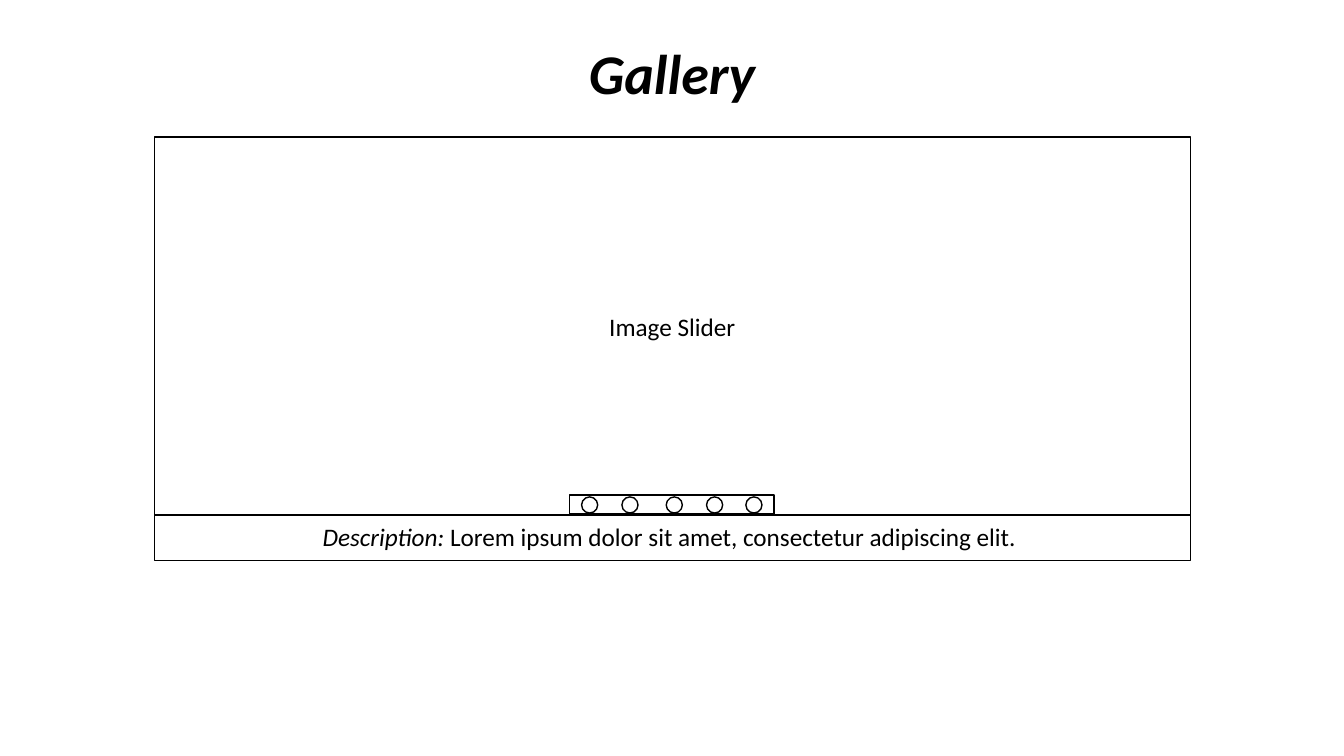
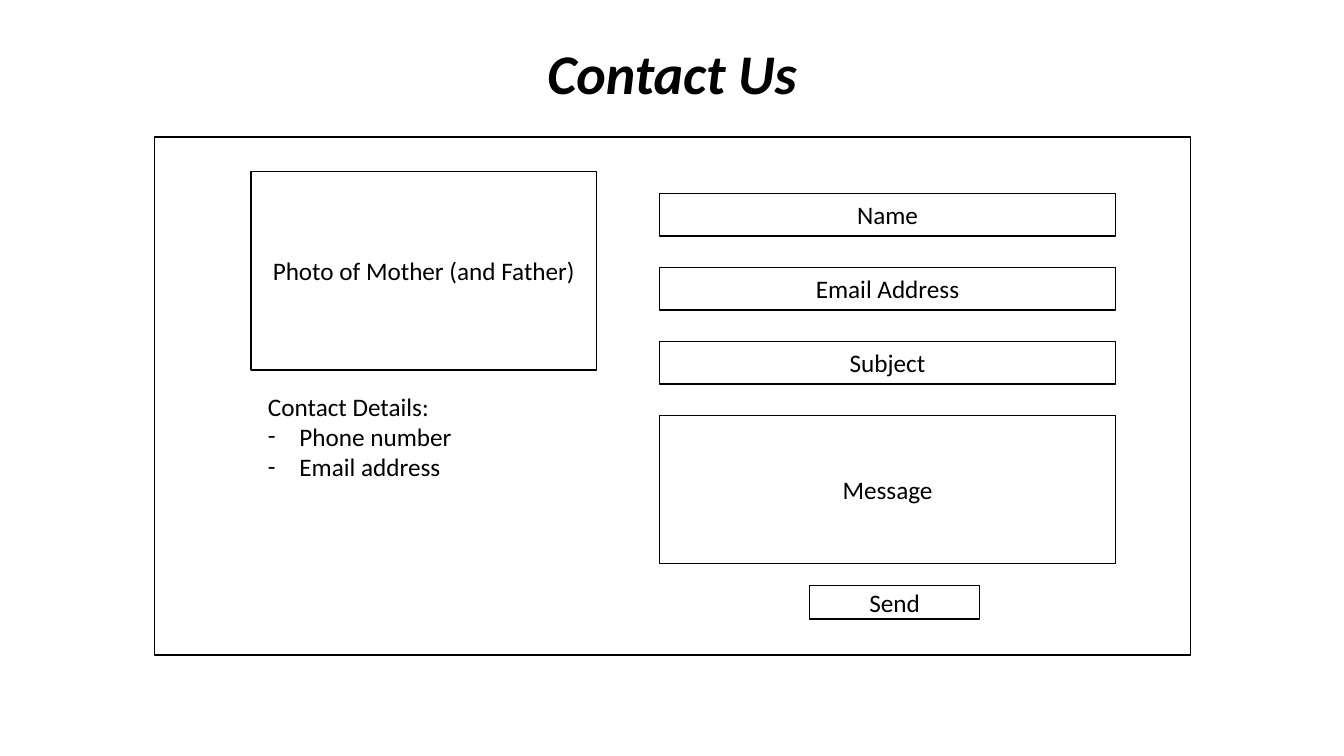
from dataclasses import dataclass

from lxml import etree
from pptx import Presentation
from pptx.dml.color import RGBColor
from pptx.enum.shapes import MSO_SHAPE
from pptx.enum.text import MSO_ANCHOR, MSO_AUTO_SIZE, PP_ALIGN
from pptx.oxml.ns import qn
from pptx.presentation import Presentation as Deck
from pptx.shapes.autoshape import Shape
from pptx.shapes.shapetree import GroupShapes, SlideShapes
from pptx.slide import Slide
from pptx.text.text import TextFrame, _Paragraph
from pptx.util import Pt

RECTANGLE = MSO_SHAPE.RECTANGLE
ELLIPSE = MSO_SHAPE.OVAL
TOP = MSO_ANCHOR.TOP
MIDDLE = MSO_ANCHOR.MIDDLE
LEFT = PP_ALIGN.LEFT
CENTER = PP_ALIGN.CENTER
NO_AUTOFIT = MSO_AUTO_SIZE.NONE
GROW = MSO_AUTO_SIZE.SHAPE_TO_FIT_TEXT

BLACK = RGBColor(0x00, 0x00, 0x00)
WHITE = RGBColor(0xFF, 0xFF, 0xFF)

FONT = "Calibri"
TITLE_SIZE = 40
BODY_SIZE = 18
OUTLINE = 1
PAGE_WIDTH = 960
PAGE_HEIGHT = 540
TITLE_ONLY = 5

FRAME_LEFT = 110.16
FRAME_TOP = 97.92
FRAME_WIDTH = 740.16

DOT_LEFTS = (415.44, 444.24, 475.92, 504.72, 532.8)
DOT_TOP = 354.96
DOT_SIZE = 11.52

FIELD_LEFT = 470.88
FIELD_TOP = 138.24
FIELD_WIDTH = 326.16
FIELD_HEIGHT = 30.24
FIELD_PITCH = 52.85
MESSAGE_HEIGHT = 105.84
BULLET_INDENT = 22.5


@dataclass(frozen=True)
class Area:
    left: float
    top: float
    width: float
    height: float


@dataclass(frozen=True)
class Span:
    text: str
    size: float = BODY_SIZE
    bold: bool = False
    italic: bool = False


@dataclass(frozen=True)
class Panel:
    area: Area
    spans: tuple[Span, ...] = ()
    kind: MSO_SHAPE = RECTANGLE


TITLE_AREA = Area(0, 23.76, PAGE_WIDTH, 55.44)
DETAILS_AREA = Area(184.32, 275.76, 241.92, 72.72)

SLIDER_PANELS = (
    Panel(
        Area(FRAME_LEFT, 366.48, FRAME_WIDTH, 33.84),
        (
            Span("Description: ", italic=True),
            Span("Lorem ipsum dolor sit amet, consectetur adipiscing elit. "),
        ),
    ),
    Panel(Area(FRAME_LEFT, FRAME_TOP, FRAME_WIDTH, 270), (Span("Image Slider"),)),
)
INDICATOR_PANELS = (
    Panel(Area(406.8, 353.52, 146.16, 13.68)),
    *(Panel(Area(left, DOT_TOP, DOT_SIZE, DOT_SIZE), kind=ELLIPSE) for left in DOT_LEFTS),
)

FIELDS = (
    ("Name", FIELD_HEIGHT),
    ("Email Address", FIELD_HEIGHT),
    ("Subject", FIELD_HEIGHT),
    ("Message", MESSAGE_HEIGHT),
)
CONTACT_PANELS = (
    Panel(Area(FRAME_LEFT, FRAME_TOP, FRAME_WIDTH, 370.08)),
    Panel(Area(179.28, 122.4, 246.96, 141.84), (Span("Photo of Mother (and Father)"),)),
    *(
        Panel(
            Area(FIELD_LEFT, FIELD_TOP + row * FIELD_PITCH, FIELD_WIDTH, height),
            (Span(label),),
        )
        for row, (label, height) in enumerate(FIELDS)
    ),
    Panel(Area(578.16, 418.32, 121.68, 23.76), (Span("Send"),)),
)
DETAILS_HEADING = "Contact Details: "
DETAILS = ("Phone number", "Email address")


def write(para: _Paragraph, spans: tuple[Span, ...], align: PP_ALIGN) -> None:
    para.alignment = align
    for span in spans:
        run = para.add_run()
        run.text = span.text
        run.font.name = FONT
        run.font.size = Pt(span.size)
        run.font.bold = span.bold
        run.font.italic = span.italic
        run.font.color.rgb = BLACK


def set_frame(frame: TextFrame, anchor: MSO_ANCHOR, fit: MSO_AUTO_SIZE) -> None:
    frame.word_wrap = True
    frame.vertical_anchor = anchor
    frame.auto_size = fit


def add_dash(para: _Paragraph) -> None:
    properties = para._p.get_or_add_pPr()
    properties.set("marL", str(Pt(BULLET_INDENT)))
    properties.set("indent", str(-Pt(BULLET_INDENT)))
    etree.SubElement(properties, qn("a:buFont")).set("typeface", FONT)
    etree.SubElement(properties, qn("a:buChar")).set("char", "-")


def add_panel(shapes: SlideShapes | GroupShapes, panel: Panel) -> Shape:
    area = panel.area
    box = shapes.add_shape(
        panel.kind, Pt(area.left), Pt(area.top), Pt(area.width), Pt(area.height)
    )
    box.shadow.inherit = False
    box.fill.solid()
    box.fill.fore_color.rgb = WHITE
    box.line.color.rgb = BLACK
    box.line.width = Pt(OUTLINE)
    if panel.spans:
        set_frame(box.text_frame, MIDDLE, NO_AUTOFIT)
        write(box.text_frame.paragraphs[0], panel.spans, CENTER)
    return box


def add_panels(shapes: SlideShapes | GroupShapes, panels: tuple[Panel, ...]) -> None:
    for panel in panels:
        add_panel(shapes, panel)


def add_details(shapes: GroupShapes) -> None:
    area = DETAILS_AREA
    box = shapes.add_textbox(Pt(area.left), Pt(area.top), Pt(area.width), Pt(area.height))
    frame = box.text_frame
    set_frame(frame, TOP, GROW)
    write(frame.paragraphs[0], (Span(DETAILS_HEADING),), LEFT)
    for detail in DETAILS:
        para = frame.add_paragraph()
        write(para, (Span(detail),), LEFT)
        add_dash(para)


def add_page(deck: Deck, heading: str) -> Slide:
    page = deck.slides.add_slide(deck.slide_layouts[TITLE_ONLY])
    title = page.shapes.title
    title.left, title.top = Pt(TITLE_AREA.left), Pt(TITLE_AREA.top)
    title.width, title.height = Pt(TITLE_AREA.width), Pt(TITLE_AREA.height)
    set_frame(title.text_frame, TOP, GROW)
    span = Span(heading, size=TITLE_SIZE, bold=True, italic=True)
    write(title.text_frame.paragraphs[0], (span,), CENTER)
    return page


def build_gallery(deck: Deck) -> None:
    page = add_page(deck, "Gallery")
    add_panels(page.shapes, SLIDER_PANELS)
    add_panels(page.shapes.add_group_shape().shapes, INDICATOR_PANELS)


def build_contact(deck: Deck) -> None:
    page = add_page(deck, "Contact Us")
    form = page.shapes.add_group_shape().shapes
    add_panels(form, CONTACT_PANELS)
    add_details(form)


def main() -> None:
    deck = Presentation()
    deck.slide_width = Pt(PAGE_WIDTH)
    deck.slide_height = Pt(PAGE_HEIGHT)
    build_gallery(deck)
    build_contact(deck)
    deck.save("out.pptx")


main()
